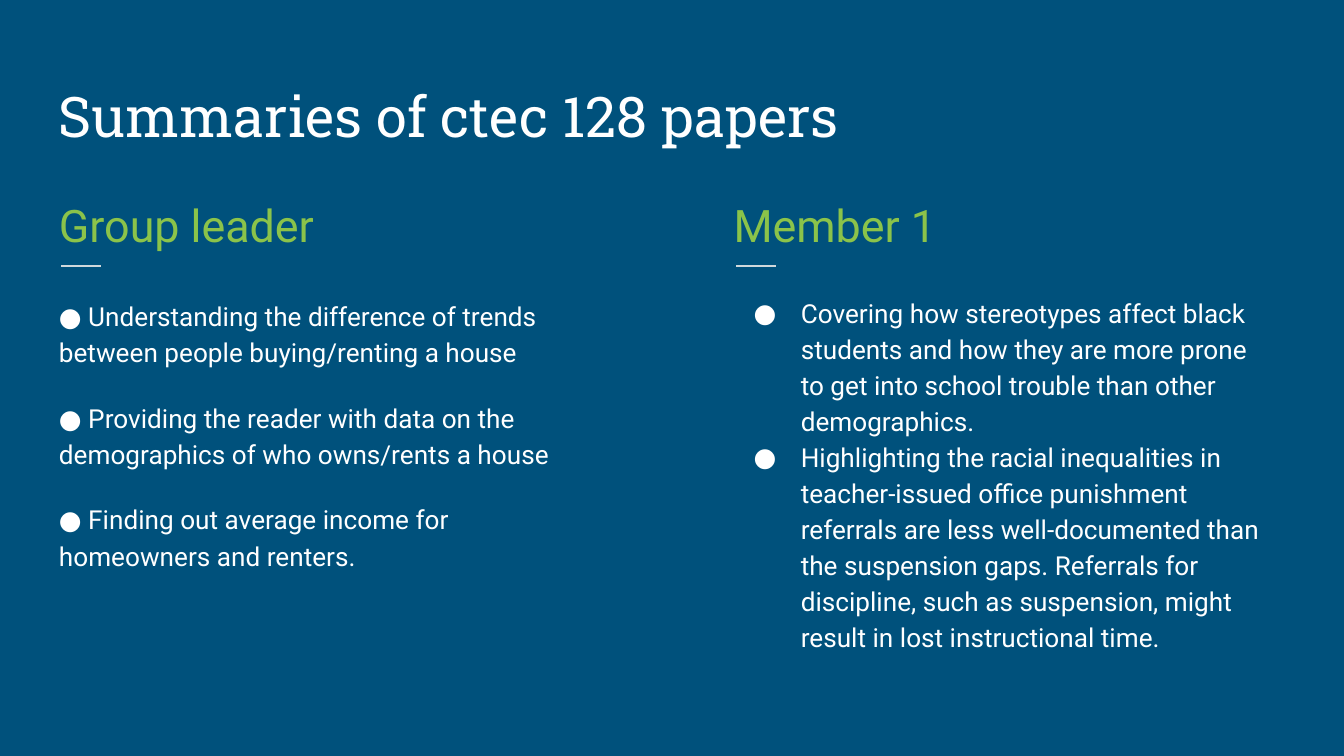
from lxml import etree
from pptx import Presentation
from pptx.dml.color import RGBColor
from pptx.enum.shapes import MSO_CONNECTOR
from pptx.enum.text import MSO_ANCHOR, MSO_AUTO_SIZE, PP_ALIGN
from pptx.oxml.ns import qn
from pptx.util import Cm, Pt

STRAIGHT = MSO_CONNECTOR.STRAIGHT
TOP, BOTTOM = MSO_ANCHOR.TOP, MSO_ANCHOR.BOTTOM
NO_AUTOFIT = MSO_AUTO_SIZE.NONE
LEFT = PP_ALIGN.LEFT
COMPARISON_LAYOUT = 4

NAVY, WHITE, GREEN, GREY = "00517C", "FFFFFF", "8BC34A", "CFD8DC"
TITLE_FONT, BODY_FONT = "Roboto Slab", "Roboto"

MARGIN = 0.86
COLUMN_WIDTH = 10.69
INSET = 0.254

FRAME_FORMAT = {
    "word_wrap": True,
    "auto_size": NO_AUTOFIT,
    "margin_left": Cm(INSET),
    "margin_top": Cm(INSET),
    "margin_right": Cm(INSET),
    "margin_bottom": Cm(INSET),
}

TITLE = "Summaries of ctec 128 papers"
COLUMNS = [
    {
        "left": MARGIN,
        "heading": "Group leader",
        "list_top": 5.33,
        "items": [
            "● Understanding the difference of trends between people buying/renting a house",
            "● Providing the reader with data on the demographics of who owns/rents a house",
            "● Finding out average income for homeowners and renters.",
        ],
        "gap": 16,
        "bulleted": False,
    },
    {
        "left": 13.61,
        "heading": "Member 1",
        "list_top": 5.28,
        "items": [
            "Covering how stereotypes affect black students and how they are more prone "
            "to get into school trouble than other demographics.",
            "Highlighting the racial inequalities in teacher-issued office punishment "
            "referrals are less well-documented than the suspension gaps. Referrals for "
            "discipline, such as suspension, might result in lost instructional time.",
        ],
        "gap": 0,
        "bulleted": True,
    },
]


def color(hex_string):
    return RGBColor.from_string(hex_string)


def set_attributes(target, values):
    for name, value in values.items():
        setattr(target, name, value)


def set_bullet(paragraph, bulleted):
    """Give the paragraph a hanging round bullet, or clear the inherited one."""
    properties = paragraph._p.get_or_add_pPr()
    margin, indent = (Cm(1.27), Cm(-0.89)) if bulleted else (0, 0)
    properties.set("marL", str(margin))
    properties.set("indent", str(indent))
    if not bulleted:
        etree.SubElement(properties, qn("a:buNone"))
        return
    bullet_color = etree.SubElement(properties, qn("a:buClr"))
    etree.SubElement(bullet_color, qn("a:srgbClr"), val=WHITE)
    etree.SubElement(properties, qn("a:buFont"), typeface=BODY_FONT)
    etree.SubElement(properties, qn("a:buChar"), char="●")


def fill_placeholder(shape, box, texts, size, font_name, font_color,
                     anchor=TOP, line_spacing=1.15, gap=0, bulleted=False):
    """Place the shape at box (cm) and write one paragraph per text."""
    left, top, width, height = map(Cm, box)
    set_attributes(shape, {"left": left, "top": top, "width": width, "height": height})
    frame = shape.text_frame
    set_attributes(frame, FRAME_FORMAT | {"vertical_anchor": anchor})
    for index, text in enumerate(texts):
        paragraph = frame.add_paragraph() if index else frame.paragraphs[0]
        set_attributes(paragraph, {
            "alignment": LEFT,
            "line_spacing": line_spacing,
            "space_before": Pt(gap if index else 0),
            "space_after": Pt(0),
        })
        set_bullet(paragraph, bulleted)
        run = paragraph.add_run()
        run.text = text
        set_attributes(run.font, {"name": font_name, "size": Pt(size), "bold": False})
        run.font.color.rgb = color(font_color)


def add_rule(slide, left, top, length):
    rule = slide.shapes.add_connector(
        STRAIGHT, Cm(left), Cm(top), Cm(left + length), Cm(top))
    rule.line.color.rgb = color(GREY)
    rule.line.width = Pt(0.75)
    etree.SubElement(rule._element.spPr, qn("a:effectLst"))


def add_column(slide, heading_shape, list_shape, column):
    left = column["left"]
    fill_placeholder(heading_shape, (left, 3.33, COLUMN_WIDTH, 1.45),
                     [column["heading"]], 24, BODY_FONT, GREEN)
    add_rule(slide, left + 0.3, 5.03, 0.75)
    fill_placeholder(list_shape, (left, column["list_top"], COLUMN_WIDTH, 7.65),
                     column["items"], 14, BODY_FONT, WHITE,
                     gap=column["gap"], bulleted=column["bulleted"])


def main():
    presentation = Presentation()
    presentation.slide_width = Cm(25.4)
    presentation.slide_height = Cm(14.29)
    slide = presentation.slides.add_slide(presentation.slide_layouts[COMPARISON_LAYOUT])
    slide.background.fill.solid()
    slide.background.fill.fore_color.rgb = color(NAVY)

    title, *bodies = slide.placeholders
    fill_placeholder(title, (MARGIN, 1.04, 23.67, 2.03), [TITLE], 30, TITLE_FONT,
                     WHITE, anchor=BOTTOM, line_spacing=1.0)
    for heading_shape, list_shape, column in zip(bodies[::2], bodies[1::2], COLUMNS):
        add_column(slide, heading_shape, list_shape, column)
    presentation.save("out.pptx")


if __name__ == "__main__":
    main()
